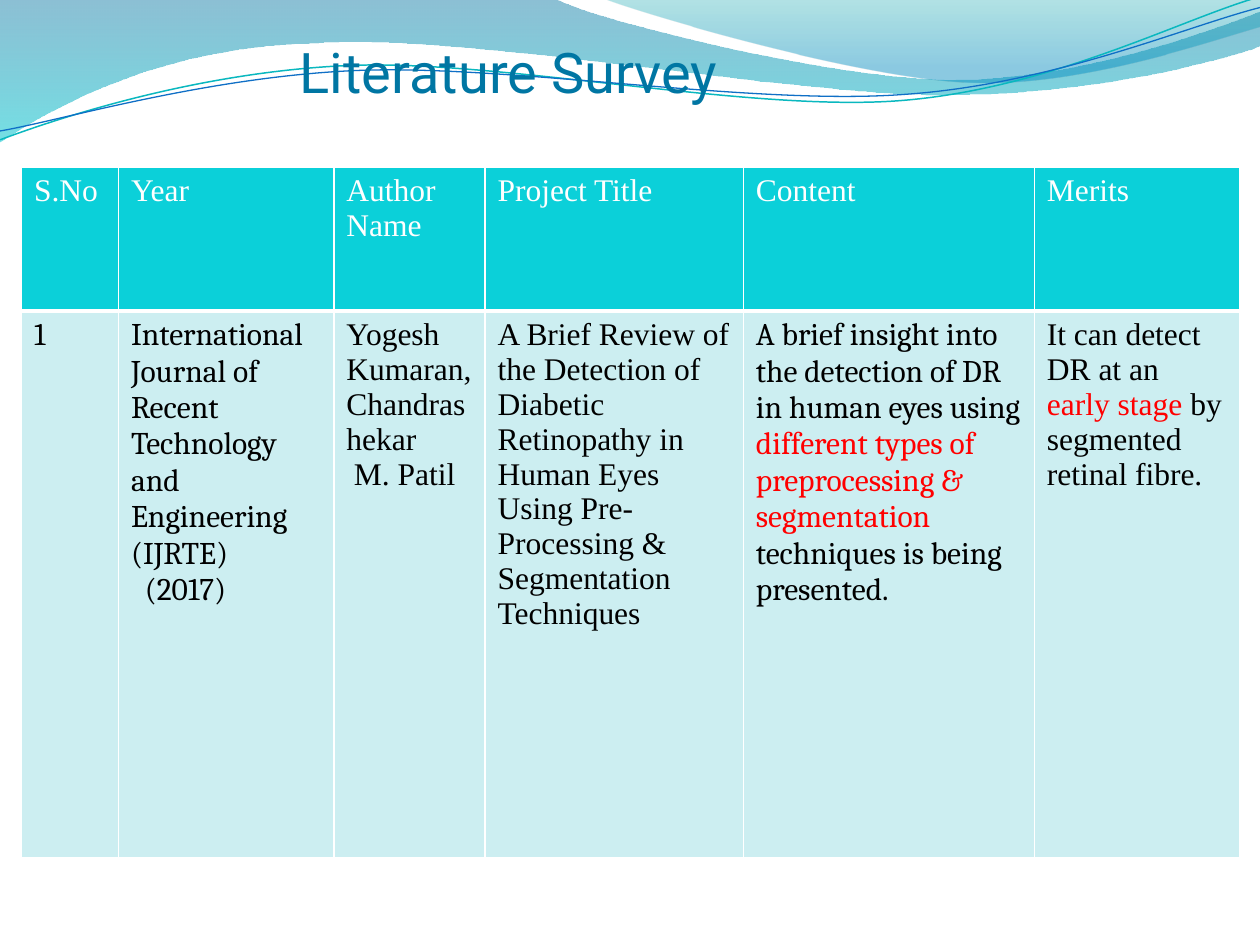
"""Build the literature survey slide with its wave header and table."""
from math import cos, radians, sin
from lxml.etree import SubElement
from pptx import Presentation
from pptx.dml.color import RGBColor
from pptx.enum.text import MSO_ANCHOR as Anchor
from pptx.oxml.ns import qn
from pptx.util import Inches, Pt

WHITE = RGBColor(255, 255, 255)
BLACK = RGBColor(0, 0, 0)
RED = RGBColor(255, 0, 0)
TITLE = RGBColor(0x00, 0x76, 0xA3)
HEAD = RGBColor(0x0B, 0xD0, 0xD9)
BODY = RGBColor(0xCC, 0xEE, 0xF1)
NAVY = RGBColor(0x00, 0x74, 0xA1)
AQUA = RGBColor(0x00, 0xC6, 0xCF)
TEAL = RGBColor(0x00, 0xA1, 0xA9)
SKY = RGBColor(0x00, 0x8B, 0xBF)
CYAN = RGBColor(0x0A, 0xB8, 0xBF)
BLUE = RGBColor(0x0F, 0x6F, 0xC6)
SERIF, ROMAN, SANS = "Cambria", "Times New Roman", "Roboto"
TILT = 2.7

BAND = [(0, 0), (4.4, -0.01),
        (4.76, 0.17, 6.64, 0.63, 7.58, 0.63), (8.53, 0.63, 9.58, 0.26, 10, 0.09),
        (10.01, 0.36),
        (9.83, 0.44, 8.7, 0.76, 7.46, 0.75), (6.22, 0.75, 3.82, 0.28, 2.57, 0.34),
        (1.29, 0.36, 0.46, 0.83, -0.01, 1.13), (0, 0)]
CREST = [(4.79, -0.01), (5.09, 0.11, 6.82, 0.62, 7.69, 0.65),
         (8.56, 0.69, 9.61, 0.32, 10, 0.21), (10, 0), (4.79, -0.01)]
UPPER = [(0, 1.11), (0.48, 0.93, 1.58, 0.57, 2.77, 0.52),
         (3.95, 0.47, 5.93, 0.89, 7.13, 0.8), (8.33, 0.71, 9.38, 0.15, 9.98, -0.02)]
LOWER = [(0, 1.04), (0.47, 0.96, 1.64, 0.61, 2.83, 0.56),
         (4.03, 0.51, 5.97, 0.84, 7.17, 0.75), (8.36, 0.67, 9.41, 0.21, 10, 0.06)]

COLS = [0.77, 1.71, 1.2, 2.05, 2.31, 1.63]
ROWS = [1.14, 4.34]
HEADS = ["S.No", "Year", "Author Name", "Project Title", "Content", "Merits"]
CELLS = [
    (SERIF, [(0, [("1", BLACK)])]),
    (SERIF, [(0, [("International Journal of Recent Technology and Engineering (IJRTE)", BLACK)]),
             (0.11, [("(2017)", BLACK)])]),
    (ROMAN, [(0, [("Yogesh Kumaran, Chandrashekar", BLACK)]),
             (0.06, [("M. Patil", BLACK)])]),
    (ROMAN, [(0, [("A Brief Review of the Detection of Diabetic Retinopathy in Human Eyes "
                   "Using Pre-Processing & Segmentation Techniques", BLACK)])]),
    (SERIF, [(0, [("A brief insight into the detection of DR in human eyes using ", BLACK),
                  ("different types of preprocessing & segmentation ", RED),
                  ("techniques is being presented.", BLACK)])]),
    (ROMAN, [(0, [("It can detect DR at an ", BLACK), ("early stage ", RED),
                  ("by segmented retinal fibre.", BLACK)])]),
]


def pairs(part):
    return list(zip(part[::2], part[1::2]))


def turn(path, mid, angle):
    c, s = cos(radians(angle)), sin(radians(angle))
    done = []
    for part in path:
        flat = []
        for x, y in pairs(part):
            dx, dy = x - mid[0], y - mid[1]
            flat += [mid[0] + dx * c - dy * s, mid[1] + dx * s + dy * c]
        done.append(flat)
    return done


class Deck:
    def __init__(self):
        self.show = Presentation()
        self.show.slide_width, self.show.slide_height = Inches(10), Inches(7.5)
        self.slide = self.show.slides.add_slide(self.show.slide_layouts[6])
        self.size = 18

    def curve(self, path, close):
        ends = [(Inches(part[-2]), Inches(part[-1])) for part in path]
        pen = self.slide.shapes.build_freeform(*ends[0])
        pen.add_line_segments(ends[1:], close=close)
        shape = pen.convert_to_shape()
        shape.shadow.inherit = False
        legs = list(shape._element.spPr.iter(qn("a:lnTo")))
        for leg, part in zip(legs, path[1:]):
            if len(part) == 6:
                bend = leg.makeelement(qn("a:cubicBezTo"))
                for x, y in pairs(part):
                    spot = SubElement(bend, qn("a:pt"))
                    spot.set("x", str(Inches(x) - shape.left))
                    spot.set("y", str(Inches(y) - shape.top))
                leg.getparent().replace(leg, bend)
        return shape

    def wave(self, path, stops):
        shape = self.curve(path, True)
        shape.fill.gradient()
        shape.fill.gradient_angle = 270
        for stop, (place, color, _) in zip(shape.fill.gradient_stops, stops):
            stop.position, stop.color.rgb = place, color
        tints = list(shape._element.spPr.iter(qn("a:srgbClr")))
        for tint, (_, _, alpha) in zip(tints, stops):
            SubElement(tint, qn("a:alpha")).set("val", str(alpha * 1000))
        shape.line.fill.background()

    def thread(self, path, mid, color, width):
        shape = self.curve(turn(path, mid, TILT), False)
        shape.rotation = 360 - TILT
        shape.fill.background()
        shape.line.color.rgb, shape.line.width = color, Pt(width)

    def style(self, run, face, size, color):
        font = run.font
        font.name, font.size, font.bold = face, Pt(size), False
        font.color.rgb = color

    def title(self, text):
        box = self.slide.shapes.add_textbox(Inches(0.5), Inches(0.08), Inches(9), Inches(0.75))
        frame = box.text_frame
        frame.word_wrap, frame.vertical_anchor = True, Anchor.BOTTOM
        frame.margin_left, frame.margin_top = Inches(1.88), Inches(0.05)
        frame.margin_right = frame.margin_bottom = 0
        frame.text = text
        self.style(frame.paragraphs[0].runs[0], SANS, 32, TITLE)

    def edge(self, cell, widths):
        props = cell._tc.get_or_add_tcPr()
        for spot, (side, width) in enumerate(zip("LRTB", widths)):
            line = SubElement(props, qn("a:ln" + side))
            line.set("w", str(Pt(width)))
            fill = SubElement(line, qn("a:solidFill"))
            SubElement(fill, qn("a:srgbClr")).set("val", str(WHITE))
            props.insert(spot, line)

    def fill(self, cell, color, widths, face, paras):
        cell.fill.solid()
        cell.fill.fore_color.rgb = color
        self.edge(cell, widths)
        frame = cell.text_frame
        for spot, (indent, parts) in enumerate(paras):
            para = frame.add_paragraph() if spot else frame.paragraphs[0]
            if indent:
                para._p.get_or_add_pPr().set("marL", str(Inches(indent)))
            for text, ink in parts:
                run = para.add_run()
                run.text = text
                self.style(run, face, self.size, ink)

    def table(self, heads, cells):
        grid = self.slide.shapes.add_table(
            len(ROWS), len(COLS), Inches(0.17), Inches(1.33),
            Inches(sum(COLS)), Inches(sum(ROWS))).table
        for row, height in zip(grid.rows, ROWS):
            row.height = Inches(height)
        for spot, width in enumerate(COLS):
            grid.columns[spot].width = Inches(width)
            top = [(0, [(heads[spot], WHITE)])]
            self.fill(grid.cell(0, spot), HEAD, (1, 1, 1, 3), ROMAN, top)
            self.fill(grid.cell(1, spot), BODY, (1, 1, 3, 1), *cells[spot])


def main():
    deck = Deck()
    deck.wave(BAND, [(0, NAVY, 45), (1, AQUA, 55)])
    deck.wave(CREST, [(0, TEAL, 30), (0.8, SKY, 45)])
    deck.thread(UPPER, (4.99, 0.58), CYAN, 0.85)
    deck.thread(LOWER, (5, 0.59), BLUE, 0.75)
    deck.title("Literature Survey")
    deck.table(HEADS, CELLS)
    deck.show.save("out.pptx")


if __name__ == "__main__":
    main()
